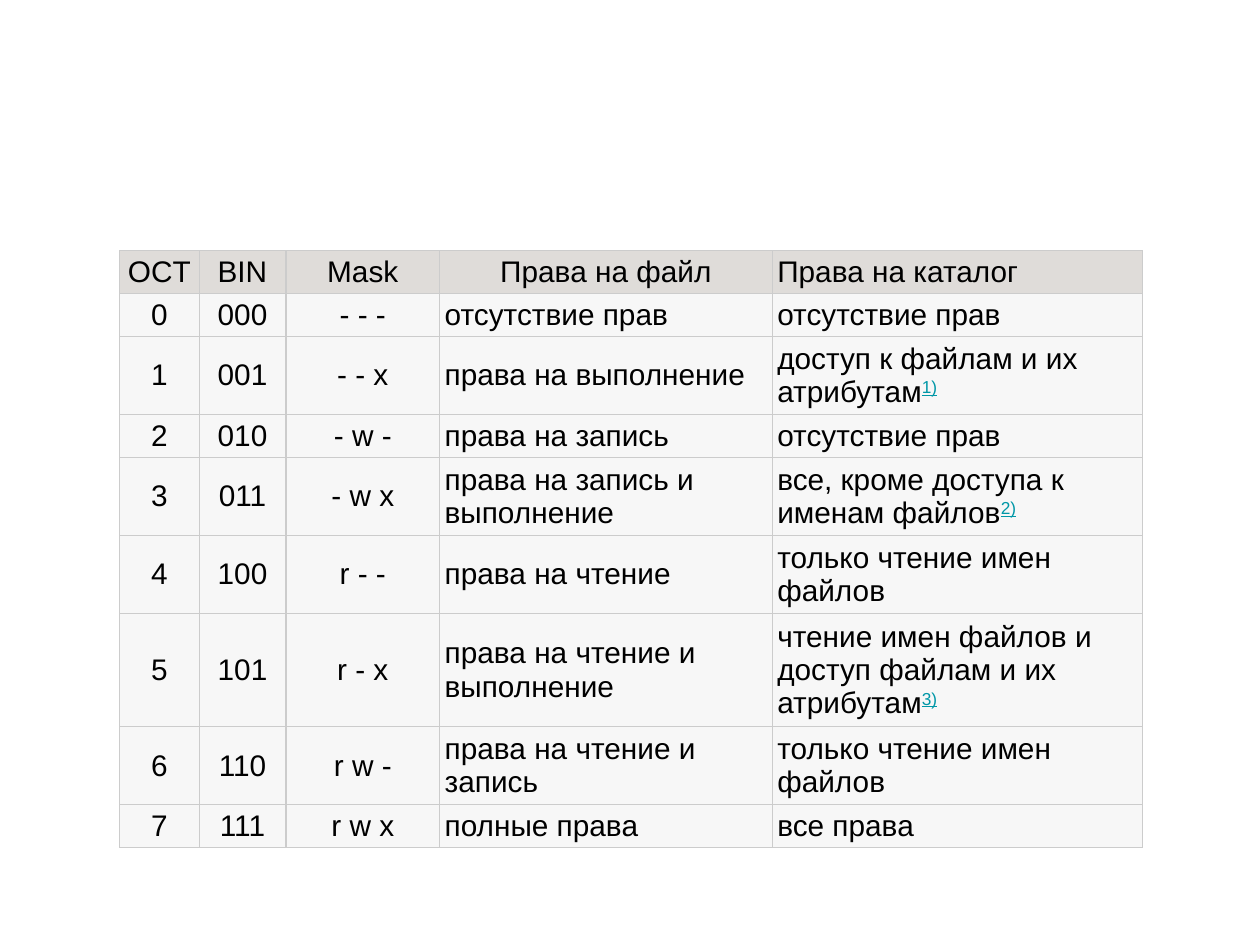
from dataclasses import dataclass

from lxml.etree import SubElement
from pptx import Presentation
from pptx.dml.color import RGBColor
from pptx.enum.text import MSO_ANCHOR, PP_ALIGN
from pptx.oxml.ns import qn
from pptx.util import Inches, Pt

HEADINGS = ("OCT", "BIN", "Mask", "Права на файл", "Права на каталог")
PERMISSIONS = [
    ("0", "000", "- - -", "отсутствие прав", "отсутствие прав"),
    ("1", "001", "- - x", "права на выполнение", ("доступ к файлам и их атрибутам", "1)")),
    ("2", "010", "- w -", "права на запись", "отсутствие прав"),
    ("3", "011", "- w x", "права на запись и выполнение", ("все, кроме доступа к именам файлов", "2)")),
    ("4", "100", "r - -", "права на чтение", "только чтение имен файлов"),
    ("5", "101", "r - x", "права на чтение и выполнение",
     ("чтение имен файлов и доступ файлам и их атрибутам", "3)")),
    ("6", "110", "r w -", "права на чтение и запись", "только чтение имен файлов"),
    ("7", "111", "r w x", "полные права", "все права"),
]
COLUMN_WIDTHS = (0.63, 0.69, 1.22, 2.64, 2.94)
LINES_PER_ROW = (1, 1, 2, 1, 2, 2, 3, 2, 1)
ROW_HEIGHTS = {1: 0.34, 2: 0.62, 3: 0.9}
TABLE_LEFT, TABLE_TOP = 0.95, 1.99
CENTERED_COLUMNS = 3
CELL_FORMAT = {
    "vertical_anchor": MSO_ANCHOR.MIDDLE,
    "margin_left": Inches(0.04),
    "margin_right": Inches(0.04),
    "margin_top": Inches(0.03),
    "margin_bottom": Inches(0.03),
}


@dataclass(frozen=True)
class Theme:
    font: str = "Arial"
    size: int = 17
    text: str = "000000"
    footnote: str = "0097A7"
    header: str = "DFDCD9"
    body: str = "F7F7F7"
    border: str = "CCCCCC"
    border_width: float = 0.75


THEME = Theme()


def apply_format(target, values):
    for name, value in values.items():
        setattr(target, name, value)


def add_span(para, text, color, underline=False):
    span = para.add_run()
    span.text = text
    apply_format(span.font, {"name": THEME.font, "size": Pt(THEME.size),
                             "bold": False, "underline": underline})
    span.font.color.rgb = RGBColor.from_string(color)
    return span


def add_borders(cell):
    properties = cell._tc.get_or_add_tcPr()
    for side in ("a:lnL", "a:lnR", "a:lnT", "a:lnB"):
        line = SubElement(properties, qn(side), w=str(Pt(THEME.border_width)))
        fill = SubElement(line, qn("a:solidFill"))
        SubElement(fill, qn("a:srgbClr"), val=THEME.border)


def fill_cell(cell, content, background, centered):
    apply_format(cell, CELL_FORMAT)
    add_borders(cell)
    cell.fill.solid()
    cell.fill.fore_color.rgb = RGBColor.from_string(background)
    para = cell.text_frame.paragraphs[0]
    para.alignment = PP_ALIGN.CENTER if centered else PP_ALIGN.LEFT
    text, footnote = content if isinstance(content, tuple) else (content, None)
    add_span(para, text, THEME.text)
    if footnote:
        span = add_span(para, footnote, THEME.footnote, underline=True)
        span.font._element.set("baseline", "30000")


def add_permission_table(page):
    rows = [HEADINGS, *PERMISSIONS]
    heights = [ROW_HEIGHTS[lines] for lines in LINES_PER_ROW]
    table = page.shapes.add_table(
        len(rows), len(HEADINGS), Inches(TABLE_LEFT), Inches(TABLE_TOP),
        Inches(sum(COLUMN_WIDTHS)), Inches(sum(heights))).table
    apply_format(table, {"first_row": False, "horz_banding": False})
    for column, width in zip(table.columns, COLUMN_WIDTHS):
        column.width = Inches(width)
    for row, height in zip(table.rows, heights):
        row.height = Inches(height)
    for row_index, row in enumerate(rows):
        is_header = row_index == 0
        background = THEME.header if is_header else THEME.body
        for column_index, content in enumerate(row):
            centered = column_index < CENTERED_COLUMNS + is_header
            fill_cell(table.cell(row_index, column_index), content, background, centered)


def main():
    deck = Presentation()
    apply_format(deck, {"slide_width": Inches(10), "slide_height": Inches(7.5)})
    page = deck.slides.add_slide(deck.slide_layouts[6])
    add_permission_table(page)
    deck.save("out.pptx")


if __name__ == "__main__":
    main()
